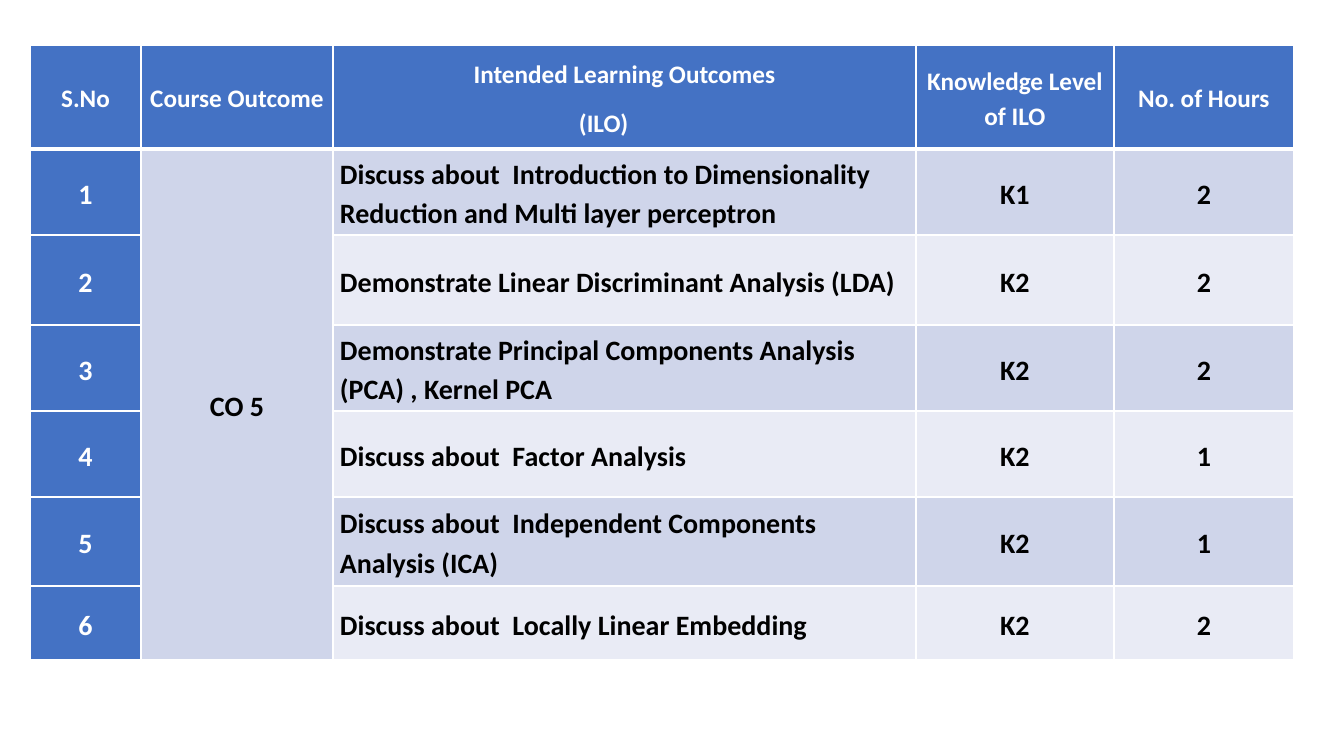
from dataclasses import dataclass

from lxml.etree import SubElement
from pptx import Presentation
from pptx.dml.color import RGBColor
from pptx.enum.text import MSO_ANCHOR, PP_ALIGN
from pptx.oxml.ns import qn
from pptx.util import Pt

PX = 914400 / 100.8


@dataclass(frozen=True)
class Theme:
    font: str = "Calibri"
    accent: str = "4472C4"
    bands: tuple = ("CFD5EA", "E9EBF5")
    light: str = "FFFFFF"
    dark: str = "000000"
    header_size: int = 18
    body_size: int = 20
    thin: int = 1
    thick: int = 3


theme = Theme()


def px(length):
    return round(length * PX)


def fill_cell(cell, text, fill, color, size, align, top=theme.thin, bottom=theme.thin):
    """Border, fill and write one cell; each line of text is a paragraph."""
    tc_pr = cell._tc.get_or_add_tcPr()
    for side, width in zip("LRTB", (theme.thin, theme.thin, top, bottom)):
        line = SubElement(tc_pr, qn(f"a:ln{side}"), w=str(Pt(width)))
        SubElement(SubElement(line, qn("a:solidFill")), qn("a:srgbClr"), val=theme.light)
    cell.fill.solid()
    cell.fill.fore_color.rgb = RGBColor.from_string(fill)
    cell.vertical_anchor = MSO_ANCHOR.MIDDLE
    cell.margin_left = cell.margin_right = px(7)
    cell.margin_top = cell.margin_bottom = 0
    frame = cell.text_frame
    for number, words in enumerate(text.split("\n")):
        paragraph = frame.add_paragraph() if number else frame.paragraphs[0]
        paragraph.alignment = align
        paragraph.line_spacing = 1.15
        paragraph.space_after = Pt(10)
        run = paragraph.add_run()
        run.text = words
        run.font.name = theme.font
        run.font.size = Pt(size)
        run.font.bold = True
        run.font.color.rgb = RGBColor.from_string(color)


# Content
headings = ("S.No", "Course Outcome", "Intended Learning Outcomes\n(ILO)",
            "Knowledge Level of ILO", "No. of Hours")
course_outcome = "CO 5"
learning_outcomes = (
    ("Discuss about  Introduction to Dimensionality Reduction and Multi layer perceptron",
     "K1", "2"),
    ("Demonstrate Linear Discriminant Analysis (LDA)", "K2", "2"),
    ("Demonstrate Principal Components Analysis (PCA) , Kernel PCA", "K2", "2"),
    ("Discuss about  Factor Analysis", "K2", "1"),
    ("Discuss about  Independent Components Analysis (ICA)", "K2", "1"),
    ("Discuss about  Locally Linear Embedding", "K2", "2"),
)
column_widths = (111, 192, 583, 198, 180)
row_heights = (104, 86, 90, 86, 86, 89, 74)

# Slide
deck = Presentation()
deck.slide_width, deck.slide_height = px(1344), px(756)
slide = deck.slides.add_slide(deck.slide_layouts[6])

# Table grid
outcomes = slide.shapes.add_table(
    len(row_heights), len(column_widths), px(30), px(45),
    px(sum(column_widths)), px(sum(row_heights))).table
outcomes.horz_banding = False
for column, width in zip(outcomes.columns, column_widths):
    column.width = px(width)
for row, height in zip(outcomes.rows, row_heights):
    row.height = px(height)

# Header row, with its second line indented under the first
for col, heading in enumerate(headings):
    fill_cell(outcomes.cell(0, col), heading, theme.accent, theme.light,
              theme.header_size, PP_ALIGN.CENTER, bottom=theme.thick)
abbreviation = outcomes.cell(0, 2).text_frame.paragraphs[1]
abbreviation.alignment = PP_ALIGN.LEFT
abbreviation._p.get_or_add_pPr().set("marL", str(px(239)))

# Outcome rows; the course outcome spans them all
outcomes.cell(1, 1).merge(outcomes.cell(len(learning_outcomes), 1))
for number, (outcome, level, hours) in enumerate(learning_outcomes, start=1):
    band = theme.bands[(number - 1) % 2]
    top = theme.thick if number == 1 else theme.thin
    entries = [(0, str(number), theme.accent, theme.light, PP_ALIGN.CENTER),
               (2, outcome, band, theme.dark, PP_ALIGN.LEFT),
               (3, level, band, theme.dark, PP_ALIGN.CENTER),
               (4, hours, band, theme.dark, PP_ALIGN.CENTER)]
    if number == 1:
        entries.append((1, course_outcome, band, theme.dark, PP_ALIGN.CENTER))
    for col, text, fill, color, align in entries:
        fill_cell(outcomes.cell(number, col), text, fill, color,
                  theme.body_size, align, top=top)

deck.save("out.pptx")
